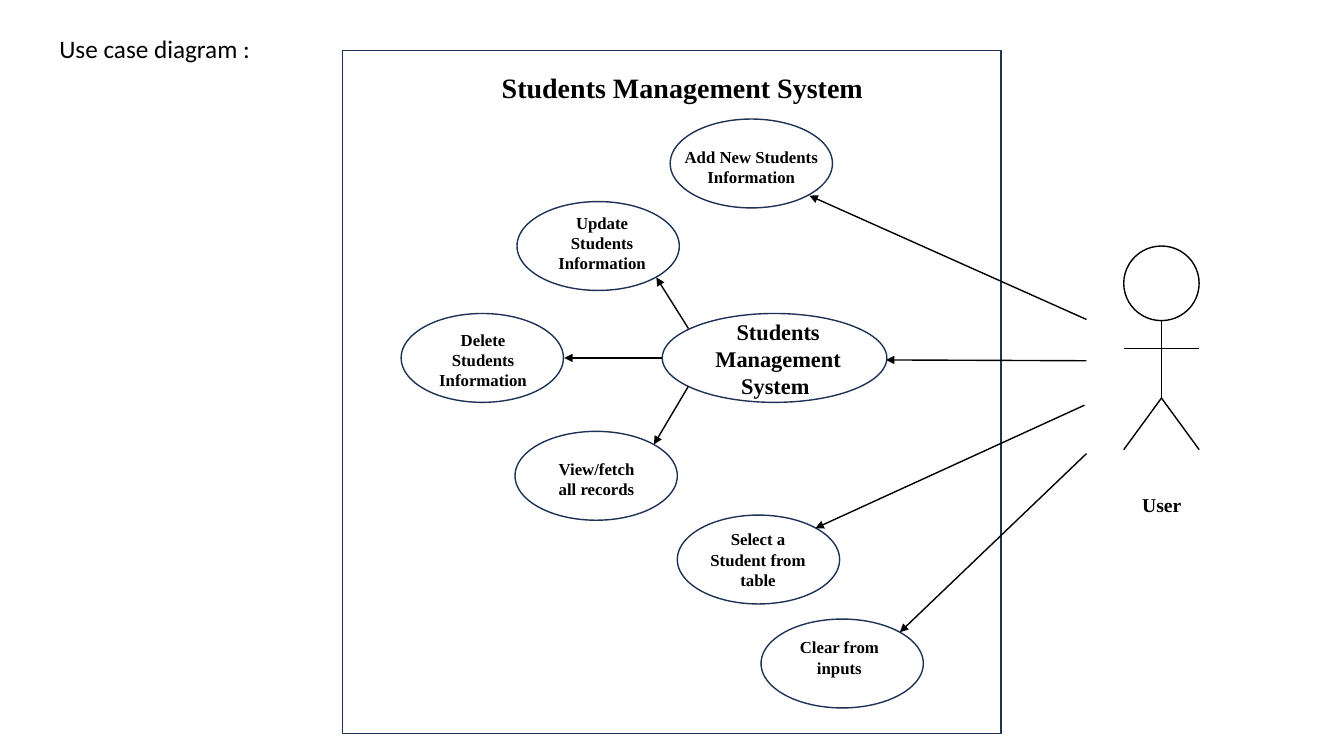
"""Build the use case diagram slide of a students management system."""
import pptx
import pptx.dml.color
import pptx.enum.shapes
import pptx.enum.text
import pptx.oxml.ns
import pptx.util
import lxml.etree

Cm = pptx.util.Cm
Kind = pptx.enum.shapes.MSO_SHAPE
Align = pptx.enum.text.PP_ALIGN

HUES = {"ink": "000000", "navy": "1E3256"}
SERIF = "Times New Roman"
HEAD = ("Use case diagram :", (1.24, 0.71, 5.56, 1.02))
FRAME = (8.64, 1.27, 16.59, 17.22)
OVAL = (4.09, 2.24)
CASES = [
    ("Add New Students Information", (16.89, 3.0), (16.89, 3.58, 4.09, 1.27)),
    ("Update Students Information", (13.03, 5.08), (13.69, 5.23, 2.97, 1.8)),
    ("Delete Students Information", (10.11, 7.9), (10.64, 8.18, 3.07, 1.8)),
    ("View/fetch all records", (12.98, 10.87), (13.69, 11.43, 2.69, 1.27)),
    ("Select a Student from table", (17.07, 12.98), (17.63, 13.21, 2.95, 1.8)),
    ("Clear from inputs", (19.18, 15.6), (19.76, 15.93, 2.79, 1.27)),
]
HUB = (16.69, 7.9, 5.66, 2.24)
LABELS = [
    ("Students Management System ", (16.89, 7.9, 5.44, 2.31), 16),
    ("Students Management System", (11.46, 1.65, 11.48, 1.12), 20),
    ("User", (27.86, 12.29, 2.84, 0.86), 14),
]
ARROWS = [
    (16.69, 9.02, 14.22, 9.02),
    (17.35, 8.28, 16.54, 6.99),
    (17.35, 9.73, 16.48, 11.2),
    (27.38, 8.05, 20.4, 4.93),
    (27.38, 9.09, 22.33, 9.07),
    (27.33, 10.21, 20.55, 13.31),
    (27.38, 11.43, 22.68, 15.93),
]
FACE = (28.32, 6.2, 1.9, 1.88)
ARMS, HIP, FEET = 8.79, 10.03, 11.33


def tint(name):
    return pptx.dml.color.RGBColor.from_string(HUES[name])


def draw(slide, kind, box, hue):
    shape = slide.shapes.add_shape(kind, *map(Cm, box))
    shape.shadow.inherit = False
    shape.fill.background()
    shape.line.color.rgb = tint(hue)
    shape.line.width = pptx.util.Pt(1)


def link(slide, ends, arrow=False):
    line = slide.shapes.add_connector(
        pptx.enum.shapes.MSO_CONNECTOR.STRAIGHT, *map(Cm, ends))
    line.line.color.rgb = tint("ink")
    line.line.width = pptx.util.Pt(1)
    qn = pptx.oxml.ns.qn
    props = line._element.spPr
    if arrow:
        lxml.etree.SubElement(props.find(qn("a:ln")), qn("a:tailEnd"), type="triangle")
    lxml.etree.SubElement(props, qn("a:effectLst"))


def write(shape, text, size, font, bold, align):
    frame = shape.text_frame
    frame.text = text
    frame.word_wrap = True
    frame.auto_size = pptx.enum.text.MSO_AUTO_SIZE.NONE
    frame.vertical_anchor = pptx.enum.text.MSO_ANCHOR.TOP
    para = frame.paragraphs[0]
    para.alignment = align
    para.line_spacing = 1.0
    style = para.runs[0].font
    style.size = pptx.util.Pt(size)
    style.name = font
    style.bold = bold
    style.color.rgb = tint("ink")


def label(slide, text, box, size):
    shape = slide.shapes.add_textbox(*map(Cm, box))
    write(shape, text, size, SERIF, True, Align.CENTER)


def main():
    deck = pptx.Presentation()
    deck.slide_width, deck.slide_height = Cm(33.87), Cm(19.05)
    slide = deck.slides.add_slide(deck.slide_layouts[5])

    text, box = HEAD
    title = slide.shapes.title
    title.left, title.top, title.width, title.height = map(Cm, box)
    write(title, text, 18, "Calibri", False, Align.LEFT)

    left, top, wide, high = FACE
    mid, right, neck = left + wide / 2, left + wide, top + high
    draw(slide, Kind.OVAL, FACE, "ink")
    for ends in [(mid, neck, mid, HIP), (left, ARMS, right, ARMS),
                 (mid, HIP, left, FEET), (mid, HIP, right, FEET)]:
        link(slide, ends)

    draw(slide, Kind.RECTANGLE, FRAME, "navy")
    for text, spot, box in CASES:
        draw(slide, Kind.OVAL, spot + OVAL, "navy")
        label(slide, text, box, 12)
    draw(slide, Kind.OVAL, HUB, "navy")
    for text, box, size in LABELS:
        label(slide, text, box, size)
    for ends in ARROWS:
        link(slide, ends, True)

    deck.save("out.pptx")


if __name__ == "__main__":
    main()
